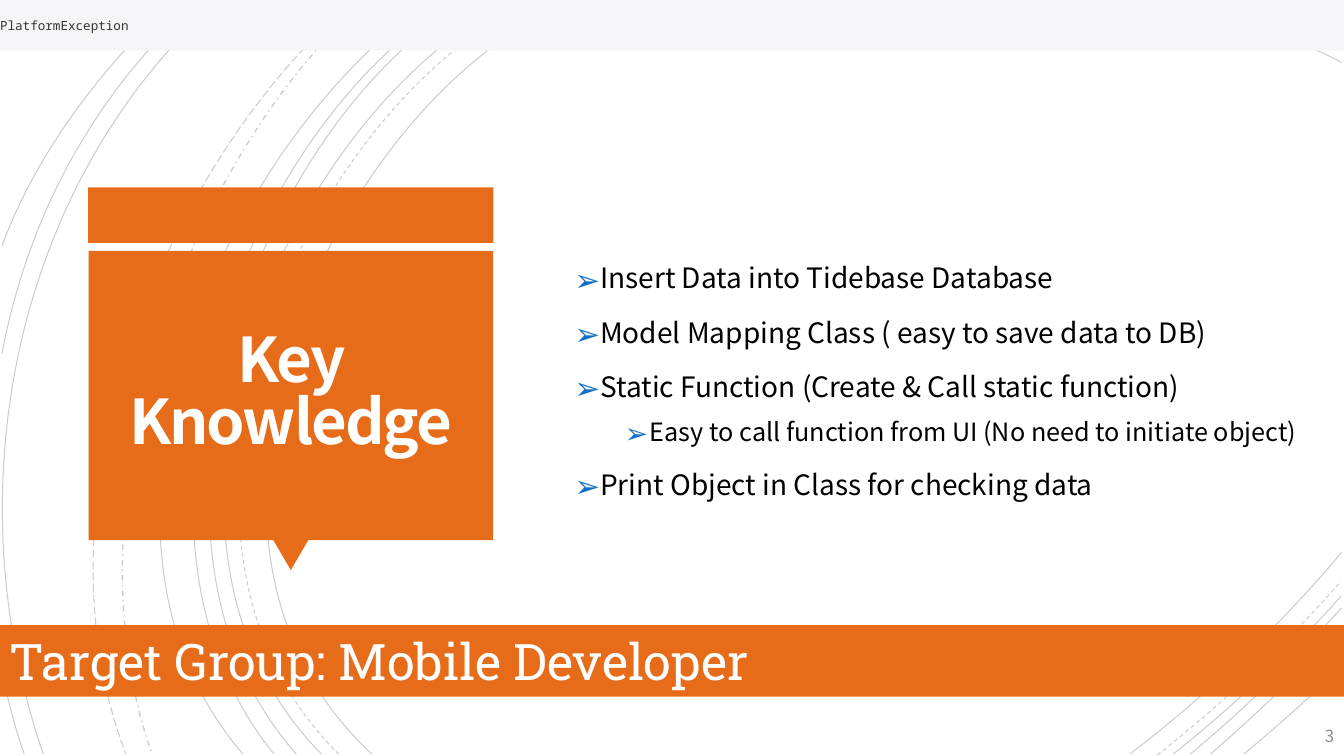
from dataclasses import dataclass
from typing import NamedTuple

from lxml import etree
from pptx import Presentation
from pptx import util as u
from pptx.dml import color
from pptx.enum import dml, shapes, text
from pptx.oxml import ns

Pt = u.Pt
Rgb = color.RGBColor.from_string
DASH = dml.MSO_LINE
ALIGN = text.PP_ALIGN
ANCHOR = text.MSO_ANCHOR
SHAPE = shapes.MSO_SHAPE


@dataclass(frozen=True)
class Theme:
    accent: str = "E76C19"
    strip: str = "F5F5F7"
    bullet: str = "0F6FC6"
    black: str = "000000"
    white: str = "FFFFFF"
    title: str = "FFFEFF"
    code: str = "333333"
    page: str = "8C8C8C"
    sans: str = "Noto Sans CJK JP"
    mono: str = "Noto Sans Mono"
    slab: str = "Roboto Slab"
    huge: int = 44
    large: int = 36
    body: int = 20
    sub: int = 18
    small: int = 12
    tiny: int = 9


T = Theme()


class Box(NamedTuple):
    left: float
    top: float
    width: float
    height: float


class Arc(NamedTuple):
    pts: tuple  # start, two control points, end
    dash: object = DASH.SOLID
    width: float = 0.75


class Block(NamedTuple):
    box: Box
    fill: str
    kind: object = SHAPE.RECTANGLE
    turn: int = 0


class Label(NamedTuple):
    words: str
    size: int
    face: str
    ink: str
    align: object = ALIGN.LEFT
    anchor: object = ANCHOR.MIDDLE
    inset: tuple = (7.2, 3.6)
    bold: bool = False


class Item(NamedTuple):
    words: str
    level: int = 0


ARCS = [
    Arc((406.8, 0, 226.8, 82.8, 103, 388.8, 265.7, 538.6)),
    Arc((958.3, 44.6, 920.2, 24.5, 877, 11.5, 836.6, 0.7)),
    Arc((807.1, 538.6, 861.8, 496.8, 913.7, 447.8, 958.3, 394.6)),
    Arc((378, 0, 205.2, 90, 88.6, 386.6, 241.9, 538.6), DASH.DASH),
    Arc((958.3, 29.5, 933.8, 18, 907.2, 8.6, 882, 0.7), DASH.DASH),
    Arc((826.6, 539.3, 873.4, 502.6, 918, 460.8, 957.6, 415.4), DASH.DASH),
    Arc((364.3, 0, 194.4, 91.4, 79.2, 386.6, 229.7, 538.6)),
    Arc((958.3, 20.9, 941, 13.7, 923.8, 6.5, 905.8, 0.7)),
    Arc((838.1, 538.6, 880.6, 504.7, 921.6, 466.6, 958.3, 425.5)),
    Arc((334.1, 0, 175.7, 95.8, 79.2, 389.5, 211.7, 538.6)),
    Arc((850.3, 538.6, 888.5, 506.9, 924.5, 471.6, 958.3, 434.2)),
    Arc((324.7, 0, 166.3, 99.4, 69.8, 383.8, 195.8, 538.6)),
    Arc((864.7, 538.6, 897.1, 510.5, 928.8, 480.2, 958.3, 448.6)),
    Arc((307.4, 0, 156.2, 105.8, 38.2, 380.9, 173.5, 538.6)),
    Arc((888.5, 538.6, 912.2, 519.1, 935.3, 498.2, 958.3, 476.6)),
    Arc((261.4, 0, 126.7, 119.5, 46.8, 366.5, 108.7, 538.6), DASH.DASH_DOT, 1),
    Arc((252.7, 0, 113, 121.7, 20.9, 359.3, 90, 538.6), DASH.LONG_DASH),
    Arc((156.2, 0, 7.9, 133.2, -33.1, 352.8, 31, 538.6)),
    Arc((140.4, 0.7, 66.2, 69.1, 20.2, 154.1, 1.4, 252.7)),
    Arc((0.7, 473.8, 4.3, 496.1, 10.1, 517.7, 17.3, 538.6)),
    Arc((123.8, 0, 72, 49.7, 26.6, 108, 1.4, 175.7)),
]

CARD = [
    Block(Box(63, 133.9, 289.4, 39.6), T.accent),
    Block(Box(195.1, 385.6, 25.2, 21.6), T.accent, SHAPE.ISOSCELES_TRIANGLE, 180),
    Block(Box(63.4, 179.3, 288.9, 206.6), T.accent),
]

ITEMS = [
    Item("Insert Data into Tidebase Database"),
    Item("Model Mapping Class ( easy to save data to DB)"),
    Item("Static Function (Create & Call static function)"),
    Item("Easy to call function from UI (No need to initiate object)", 1),
    Item("Print Object in Class for checking data"),
]


def apply(obj, vals: dict) -> None:
    for key, val in vals.items():
        setattr(obj, key, val)


def place(box: Box) -> list:
    return [Pt(val) for val in box]


def add_arc(slide, arc: Arc) -> None:
    start, *rest = zip(arc.pts[::2], arc.pts[1::2])
    pen = slide.shapes.build_freeform(*map(Pt, start))
    pen.add_line_segments([tuple(map(Pt, spot)) for spot in rest], close=False)
    curve = pen.convert_to_shape()
    # Turn the three legs into one cubic curve
    track = curve._element.find(".//" + ns.qn("a:path"))
    bend = etree.Element(ns.qn("a:cubicBezTo"))
    for leg in track.findall(ns.qn("a:lnTo")):
        bend.append(leg[0])
        track.remove(leg)
    track.append(bend)
    curve.shadow.inherit = False
    curve.fill.background()
    curve.line.color.rgb = Rgb(T.black)
    apply(curve.line, {"width": Pt(arc.width), "dash_style": arc.dash})
    tint = curve.line._ln.find(".//" + ns.qn("a:srgbClr"))
    etree.SubElement(tint, ns.qn("a:alpha"), val="20000")


def add_block(slide, block: Block):
    shape = slide.shapes.add_shape(block.kind, *place(block.box))
    shape.shadow.inherit = False
    shape.fill.solid()
    shape.fill.fore_color.rgb = Rgb(block.fill)
    shape.line.fill.background()
    shape.rotation = block.turn
    return shape


def write(shape, label: Label):
    frame = shape.text_frame
    side, edge = map(Pt, label.inset)
    apply(frame, {"word_wrap": True, "vertical_anchor": label.anchor,
                  "margin_left": side, "margin_right": side,
                  "margin_top": edge, "margin_bottom": edge})
    para = frame.paragraphs[0]
    para.alignment = label.align
    run = para.add_run()
    run.text = label.words
    apply(run.font, {"size": Pt(label.size), "name": label.face, "bold": label.bold})
    run.font.color.rgb = Rgb(label.ink)
    return para


def add_list(slide, box: Box, items: list) -> None:
    frame = slide.shapes.add_textbox(*place(box)).text_frame
    apply(frame, {"word_wrap": True, "vertical_anchor": ANCHOR.MIDDLE})
    for n, item in enumerate(items):
        para = frame.add_paragraph() if n else frame.paragraphs[0]
        props = para._p.get_or_add_pPr()
        for key, val in {"marL": 18 + 36 * item.level, "indent": -18}.items():
            props.set(key, str(Pt(val)))
        hue = etree.SubElement(props, ns.qn("a:buClr"))
        etree.SubElement(hue, ns.qn("a:srgbClr"), val=T.bullet)
        etree.SubElement(props, ns.qn("a:buSzPct"), val="110000")
        etree.SubElement(props, ns.qn("a:buFont"), typeface=T.sans)
        etree.SubElement(props, ns.qn("a:buChar"), char="➢")
        gap = (5 if item.level else 10) if n else 0
        apply(para, {"level": item.level, "line_spacing": 1.2, "space_before": Pt(gap)})
        run = para.add_run()
        run.text = item.words
        apply(run.font, {"size": Pt(T.sub if item.level else T.body), "name": T.sans})
        run.font.color.rgb = Rgb(T.black)


def main() -> None:
    deck = Presentation()
    apply(deck, {"slide_width": Pt(960), "slide_height": Pt(540)})
    slide = deck.slides.add_slide(deck.slide_layouts[6])

    # Background arcs and title card
    for arc in ARCS:
        add_arc(slide, arc)
    for block in CARD:
        add_block(slide, block)

    # Title
    head = slide.shapes.add_textbox(*place(Box(69.8, 185, 275.8, 193.7)))
    para = write(head, Label("Key Knowledge", T.huge, T.sans, T.title, ALIGN.CENTER,
                             inset=(18, 18), bold=True))
    para.line_spacing = 0.85
    para.runs[0]._r.get_or_add_rPr().set("spc", "-150")

    # Key points and page number
    add_list(slide, Box(403.2, 63, 557.3, 413.3), ITEMS)
    page = slide.shapes.add_textbox(*place(Box(888, 513, 72, 25.2)))
    write(page, Label("3", T.small, T.sans, T.page, ALIGN.RIGHT))

    # Target banner and top strip
    band = add_block(slide, Block(Box(0, 446.6, 960, 51), T.accent))
    write(band, Label("Target Group: Mobile Developer", T.large, T.slab, T.white,
                      anchor=ANCHOR.TOP))
    strip = add_block(slide, Block(Box(0, 0, 960, 36), T.strip))
    write(strip, Label("PlatformException", T.tiny, T.mono, T.code, inset=(0, 0)))

    deck.save("out.pptx")


if __name__ == "__main__":
    main()
